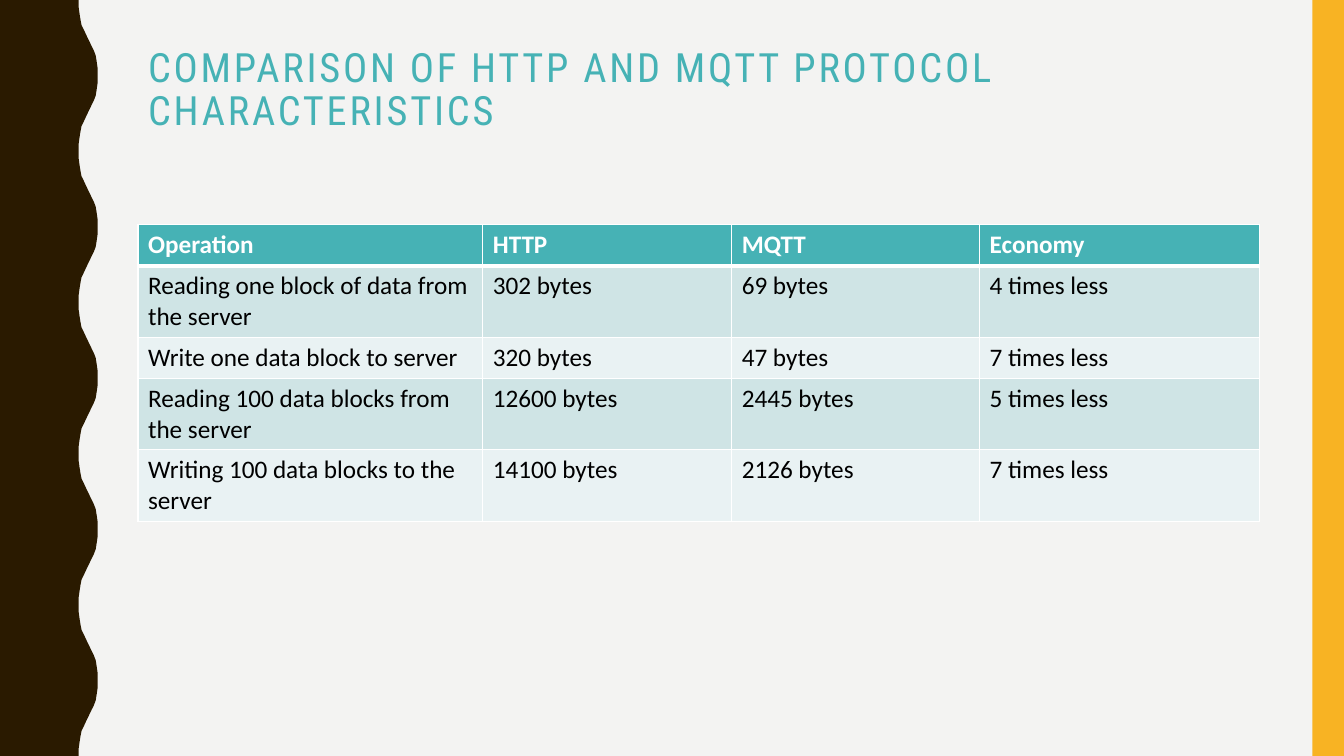
"""Build a slide that compares HTTP and MQTT traffic in a table."""
import pptx
import pptx.util
import pptx.dml.color
import pptx.enum.shapes
import pptx.enum.text
import pptx.oxml
import pptx.oxml.ns

Pt = pptx.util.Pt
HUES = {
    "back": "F3F3F2", "wave": "2A1A00", "bar": "F8B323", "teal": "46B2B5",
    "odd": "CFE4E5", "even": "E9F2F3", "white": "FFFFFF", "black": "000000",
}


def paint(fill, hue):
    fill.solid()
    fill.fore_color.rgb = pptx.dml.color.RGBColor.from_string(HUES[hue])


def write(frame, text, size, face, hue, bold=False):
    run = frame.paragraphs[0].add_run()
    run.text = text
    run.font.size = Pt(size)
    run.font.name = face
    run.font.bold = bold
    paint(run.font.fill, hue)
    return run


deck = pptx.Presentation()
deck.slide_width, deck.slide_height = Pt(960), Pt(540)
slide = deck.slides.add_slide(deck.slide_layouts[5])
paint(slide.background.fill, "back")

half = [
    (56.2, 0), (56.2, 5), (56.9, 10), (57.6, 14.4), (58.3, 18),
    (59.8, 21), (61.2, 24), (62.6, 27), (64.1, 30), (65.5, 33),
    (67, 36), (68.4, 39.6), (69.1, 44), (69.8, 49), (69.8, 54),
]
cycle = half + [(x, 108 - y) for x, y in half[-2::-1]]
edge = [(Pt(x), Pt(y + 108 * turn)) for turn in range(5) for x, y in cycle]
pen = slide.shapes.build_freeform(0, 0)
pen.add_line_segments(edge + [(0, Pt(540))], close=True)
wave = pen.convert_to_shape()
bar = slide.shapes.add_shape(
    pptx.enum.shapes.MSO_SHAPE.RECTANGLE, Pt(937.5), 0, Pt(22.5), Pt(540))
for shape, hue in ((wave, "wave"), (bar, "bar")):
    shape.shadow.inherit = False
    paint(shape.fill, hue)
    shape.line.fill.background()

title = slide.shapes.title
title.left, title.top = Pt(98.6), Pt(30.2)
title.width, title.height = Pt(801.4), Pt(69.8)
frame = title.text_frame
frame.word_wrap = True
frame.auto_size = pptx.enum.text.MSO_AUTO_SIZE.NONE
frame.vertical_anchor = pptx.enum.text.MSO_ANCHOR.MIDDLE
frame.paragraphs[0].alignment = pptx.enum.text.PP_ALIGN.LEFT
frame.paragraphs[0].line_spacing = 0.9
head = write(frame, "COMPARISON OF HTTP AND MQTT PROTOCOL CHARACTERISTICS",
             28.8, "Roboto Condensed", "teal")
head._r.get_or_add_rPr().set("spc", "200")

rows = [
    ("Operation", "HTTP", "MQTT", "Economy"),
    ("Reading one block of data from the server",
     "302 bytes", "69 bytes", "4 times less"),
    ("Write one data block to server",
     "320 bytes", "47 bytes", "7 times less"),
    ("Reading 100 data blocks from the server",
     "12600 bytes", "2445 bytes", "5 times less"),
    ("Writing 100 data blocks to the server",
     "14100 bytes", "2126 bytes", "7 times less"),
]
wides = [246.3, 177.8, 177.1, 200.2]
highs = [29.2, 50.4, 29.2, 50.4, 50.4]
table = slide.shapes.add_table(
    len(rows), len(wides), Pt(98.6), Pt(160.6),
    Pt(sum(wides)), Pt(sum(highs))).table
for col, wide in zip(table.columns, wides):
    col.width = Pt(wide)
for i, row in enumerate(rows):
    table.rows[i].height = Pt(highs[i])
    top = i == 0
    hue = "teal" if top else "odd" if i % 2 else "even"
    for j, text in enumerate(row):
        cell = table.cell(i, j)
        write(cell.text_frame, text, 18, "Calibri",
              "white" if top else "black", top)
        paint(cell.fill, hue)
        props = cell._tc.get_or_add_tcPr()
        for n, side in enumerate("LRTB"):
            thick = (top and side == "B") or (i == 1 and side == "T")
            props.insert(n, pptx.oxml.parse_xml(
                f'<a:ln{side} {pptx.oxml.ns.nsdecls("a")} '
                f'w="{Pt(3 if thick else 1)}"><a:solidFill>'
                f'<a:srgbClr val="{HUES["white"]}"/>'
                f'</a:solidFill></a:ln{side}>'))

deck.save("out.pptx")
